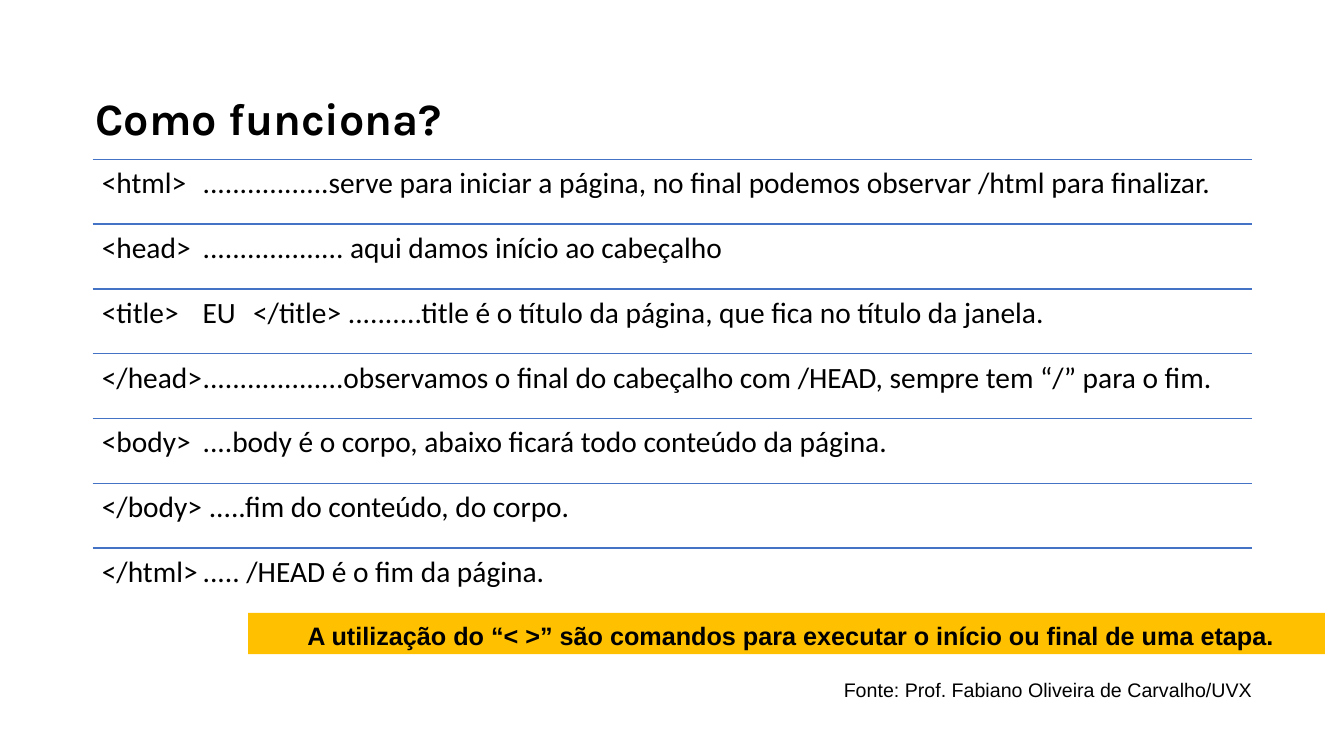
from lxml.etree import SubElement
from pptx import Presentation
from pptx.dml.color import RGBColor
from pptx.enum.shapes import MSO_CONNECTOR as CONN, MSO_SHAPE as SHAPE
from pptx.enum.text import MSO_ANCHOR as ANCHOR, MSO_AUTO_SIZE as AUTO, PP_ALIGN as ALIGN
from pptx.oxml.ns import qn
from pptx.util import Inches, Pt

BLACK = RGBColor(0x00, 0x00, 0x00)
BLUE = RGBColor(0x44, 0x72, 0xC4)
AMBER = RGBColor(0xFF, 0xC0, 0x00)

LEFT, TOP, WIDTH = 0.92, 1.58, 11.5
TAGS = [
    ("<html>\t.................serve para iniciar a página, no final podemos observar /html para finalizar.", [1.24]),
    ("<head>\t................... aqui damos início ao cabeçalho", [1.08]),
    ("<title>\tEU\t</title> ..........title é o título da página, que fica no título da janela.", [1.02, 2.04]),
    ("</head>\t...................observamos o final do cabeçalho com /HEAD, sempre tem “/” para o fim.", [1.14]),
    ("<body>\t....body é o corpo, abaixo ficará todo conteúdo da página.", [1.08]),
    ("</body> .....fim do conteúdo, do corpo.", []),
    ("</html>\t..... /HEAD é o fim da página.", [1.09]),
]
STEP = 4.5 / len(TAGS)


def write(tf, text, font="Arial", size=18, bold=False, align=ALIGN.LEFT,
          anchor=ANCHOR.TOP, spacing=1.0, after=0, indent=0, tabs=()):
    tf.word_wrap = True
    tf.vertical_anchor = anchor
    p = tf.paragraphs[0]
    p.alignment = align
    p.line_spacing = spacing
    p.space_after = Pt(after)
    pPr = p._p.get_or_add_pPr()
    pPr.set("indent", str(Inches(indent)))
    if tabs:
        tab_list = SubElement(pPr, qn("a:tabLst"))
        for pos in tabs:
            SubElement(tab_list, qn("a:tab"), pos=str(Inches(pos)), algn="l")
    r = p.add_run()
    r.text = text
    r.font.name = font
    r.font.size = Pt(size)
    r.font.bold = bold
    r.font.color.rgb = BLACK


class Deck:
    def __init__(self):
        self.prs = Presentation()
        self.prs.slide_width = Inches(13.33)
        self.prs.slide_height = Inches(7.5)
        self.s = self.prs.slides.add_slide(self.prs.slide_layouts[6])

    def text(self, x, y, w, h, text, inset=None, **fmt):
        tf = self.s.shapes.add_textbox(Inches(x), Inches(y), Inches(w), Inches(h)).text_frame
        if inset is not None:
            tf.margin_left = tf.margin_right = Inches(inset)
            tf.margin_top = tf.margin_bottom = Inches(inset)
        write(tf, text, **fmt)

    def rule(self, x, y, w):
        line = self.s.shapes.add_connector(CONN.STRAIGHT, Inches(x), Inches(y), Inches(x + w), Inches(y))
        line.line.color.rgb = BLUE
        line.line.width = Pt(1)
        SubElement(line._element.spPr, qn("a:effectLst"))

    def banner(self, x, y, w, h, text, **fmt):
        sp = self.s.shapes.add_shape(SHAPE.RECTANGLE, Inches(x), Inches(y), Inches(w), Inches(h))
        sp.shadow.inherit = False
        sp.fill.solid()
        sp.fill.fore_color.rgb = AMBER
        sp.line.fill.background()
        write(sp.text_frame, text, **fmt)
        sp.text_frame.auto_size = AUTO.SHAPE_TO_FIT_TEXT


def main():
    deck = Deck()
    deck.text(0.36, 0.42, 11.87, 1.45, "Como funciona?", font="Karla", size=32, bold=True,
              anchor=ANCHOR.MIDDLE, spacing=1.07, after=8, indent=0.49)
    for i, (text, tabs) in enumerate(TAGS):
        y = TOP + i * STEP
        deck.rule(LEFT, y, WIDTH)
        deck.text(LEFT, y, WIDTH, STEP, text, inset=0.09, font="Calibri", size=21,
                  spacing=0.9, tabs=tabs)
    deck.banner(2.46, 6.08, 10.68, 0.41,
                "A utilização do “< >” são comandos para executar o início ou final de uma etapa.",
                bold=True, align=ALIGN.JUSTIFY, spacing=1.07, after=8, indent=0.49)
    deck.text(8.27, 6.68, 4.42, 0.34, "Fonte: Prof. Fabiano Oliveira de Carvalho/UVX", size=14)
    deck.prs.save("out.pptx")


if __name__ == "__main__":
    main()
